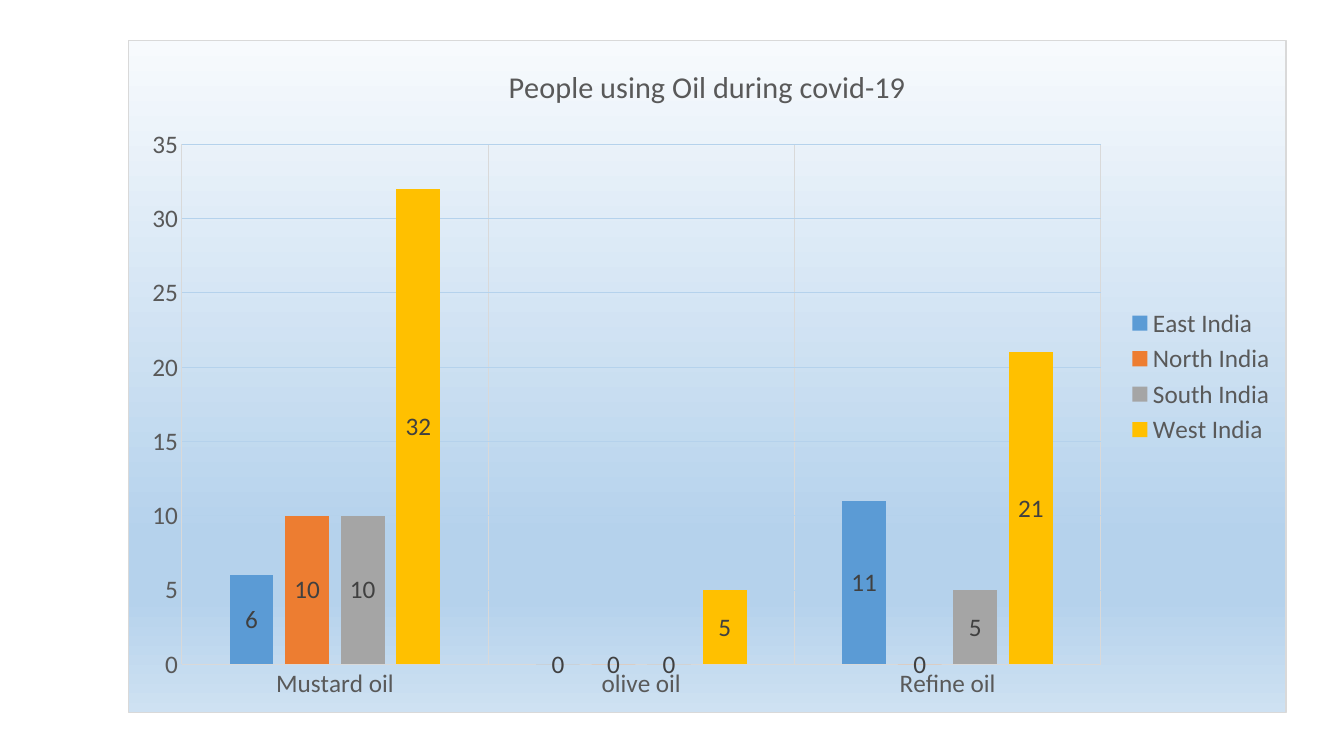
from lxml.etree import fromstring
from pptx import Presentation
from pptx.chart.data import CategoryChartData
from pptx.dml.color import RGBColor
from pptx.enum.chart import XL_CHART_TYPE, XL_LABEL_POSITION, XL_LEGEND_POSITION, XL_TICK_MARK
from pptx.oxml.ns import qn
from pptx.util import Inches, Pt

# Content
TITLE = "People using Oil during covid-19"
OILS = ["Mustard oil", "olive oil", "Refine oil"]
REGIONS = [
    ("East India", (6, 0, 11), RGBColor(0x5B, 0x9B, 0xD5)),
    ("North India", (10, 0, 0), RGBColor(0xED, 0x7D, 0x31)),
    ("South India", (10, 0, 5), RGBColor(0xA5, 0xA5, 0xA5)),
    ("West India", (32, 5, 21), RGBColor(0xFF, 0xC0, 0x00)),
]

# Style
FONT = "Calibri"
BLACK = RGBColor(0x00, 0x00, 0x00)
TEXT_GREY = RGBColor(0x59, 0x59, 0x59)
LABEL_GREY = RGBColor(0x40, 0x40, 0x40)
LINE_GREY = RGBColor(0xD9, 0xD9, 0xD9)
PALE_BLUE = RGBColor(0xF7, 0xFA, 0xFD)
SKY_BLUE = RGBColor(0xB5, 0xD2, 0xEC)
SOFT_BLUE = RGBColor(0xCE, 0xE1, 0xF2)
BACKDROP = [(0, PALE_BLUE), (74, SKY_BLUE), (83, SKY_BLUE), (100, SOFT_BLUE)]
PLOT_SHARES = {"x": 0.046, "y": 0.154, "w": 0.794, "h": 0.775}
NAMESPACES = (
    'xmlns:c="http://schemas.openxmlformats.org/drawingml/2006/chart" '
    'xmlns:a="http://schemas.openxmlformats.org/drawingml/2006/main"'
)


def set_font(font, color, size=18):
    font.name = FONT
    font.size = Pt(size)
    font.bold = False
    font.color.rgb = color


def set_line(line, color):
    line.color.rgb = color
    line.width = Pt(0.75)


def style_axis(axis, grid_color):
    axis.major_tick_mark = axis.minor_tick_mark = XL_TICK_MARK.NONE
    axis.has_major_gridlines = True
    set_line(axis.major_gridlines.format.line, grid_color)
    set_font(axis.tick_labels.font, TEXT_GREY)


def fill_backdrop(chart):
    stops = "".join(
        f'<a:gs pos="{share * 1000}"><a:srgbClr val="{color}"/></a:gs>'
        for share, color in BACKDROP
    )
    properties = fromstring(
        f'<c:spPr {NAMESPACES}><a:gradFill><a:gsLst>{stops}</a:gsLst>'
        f'<a:lin ang="5400000" scaled="0"/></a:gradFill><a:ln w="{Pt(0.75)}">'
        f'<a:solidFill><a:srgbClr val="{LINE_GREY}"/></a:solidFill></a:ln></c:spPr>'
    )
    chart.element.find(qn("c:chart")).addnext(properties)


def place_plot(chart):
    area = chart.element.find(".//" + qn("c:plotArea"))
    for layout in area.findall(qn("c:layout")):
        area.remove(layout)
    modes = "".join(f'<c:{side}Mode val="edge"/>' for side in "xy")
    shares = "".join(f'<c:{side} val="{share}"/>' for side, share in PLOT_SHARES.items())
    area.insert(0, fromstring(
        f'<c:layout {NAMESPACES}><c:manualLayout><c:layoutTarget val="inner"/>'
        f'{modes}{shares}</c:manualLayout></c:layout>'
    ))


def main():
    deck = Presentation()
    deck.slide_width, deck.slide_height = Inches(13.33), Inches(7.5)
    page = deck.slides.add_slide(deck.slide_layouts[6])

    # Chart data and frame
    data = CategoryChartData()
    data.categories = OILS
    for name, counts, _ in REGIONS:
        data.add_series(name, counts)
    chart = page.shapes.add_chart(
        XL_CHART_TYPE.COLUMN_CLUSTERED,
        Inches(1.27), Inches(0.4), Inches(11.49), Inches(6.67), data,
    ).chart
    set_font(chart.font, BLACK)
    fill_backdrop(chart)
    place_plot(chart)

    # Title
    chart.has_title = True
    span = chart.chart_title.text_frame.paragraphs[0].add_run()
    span.text = TITLE
    set_font(span.font, TEXT_GREY, 21.6)
    chart.chart_title.include_in_layout = False

    # Axes
    style_axis(chart.category_axis, LINE_GREY)
    set_line(chart.category_axis.format.line, LINE_GREY)
    counts_axis = chart.value_axis
    style_axis(counts_axis, SKY_BLUE)
    counts_axis.format.line.fill.background()
    counts_axis.minimum_scale, counts_axis.maximum_scale = 0, 35
    counts_axis.major_unit = 5

    # Legend
    chart.has_legend = True
    chart.legend.position = XL_LEGEND_POSITION.RIGHT
    chart.legend.include_in_layout = False
    set_font(chart.legend.font, TEXT_GREY)

    # Columns and their values
    plot = chart.plots[0]
    plot.vary_by_categories = False
    plot.gap_width, plot.overlap = 219, -27
    for series, (_, _, color) in zip(plot.series, REGIONS):
        series.format.fill.solid()
        series.format.fill.fore_color.rgb = color
        series.invert_if_negative = False
        labels = series.data_labels
        labels.show_value = True
        labels.position = XL_LABEL_POSITION.CENTER
        set_font(labels.font, LABEL_GREY)

    deck.save("out.pptx")


if __name__ == "__main__":
    main()
